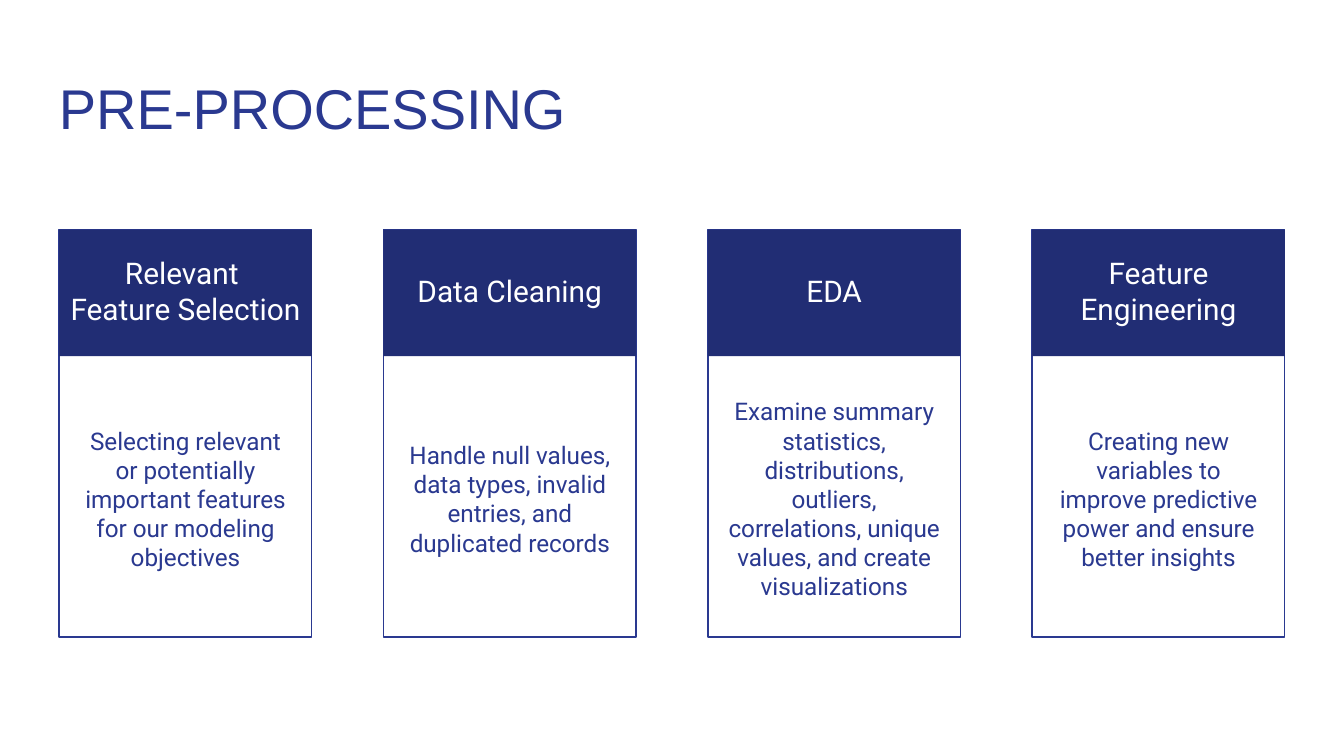
from dataclasses import dataclass
from typing import NamedTuple, Optional

from pptx import Presentation
from pptx.dml.color import RGBColor
from pptx.enum.shapes import MSO_SHAPE as Preset
from pptx.enum.text import MSO_ANCHOR as Anchor, PP_ALIGN as Align
from pptx.util import Inches, Pt


@dataclass(frozen=True)
class Theme:
    ink: RGBColor = RGBColor(0x2A, 0x39, 0x90)
    band: RGBColor = RGBColor(0x21, 0x2D, 0x74)
    white: RGBColor = RGBColor(0xFF, 0xFF, 0xFF)
    title_font: str = "Arial"
    body_font: str = "Roboto"
    title_size: int = 30
    heading_size: int = 16
    detail_size: int = 13
    border: float = 0.75


class Box(NamedTuple):
    left: float
    top: float
    width: float
    height: float

    def lengths(self) -> list:
        return [Inches(value) for value in self]


class Step(NamedTuple):
    heading: tuple[str, ...]
    detail: str


THEME = Theme()
INSET = 0.1

# Wide slide, 16:9
SLIDE_WIDTH = 10
SLIDE_HEIGHT = SLIDE_WIDTH * 9 / 16

# Card grid
FIRST_LEFT, LAST_LEFT = 0.44, 7.68
CARD_TOP, CARD_WIDTH, CARD_HEIGHT, BAND_HEIGHT = 1.71, 1.88, 3.03, 0.94

STEPS = [
    Step(("Relevant ", "Feature Selection"),
         "Selecting relevant or potentially important features for our modeling objectives"),
    Step(("Data Cleaning",),
         "Handle null values, data types, invalid entries, and duplicated records"),
    Step(("EDA",),
         "Examine summary statistics, distributions, outliers, correlations, "
         "unique values, and create visualizations"),
    Step(("Feature Engineering",),
         "Creating new variables to improve predictive power and ensure better insights"),
]


def draw_panel(slide, box: Box, fill: Optional[RGBColor] = None) -> None:
    """Draw a filled band, or an outlined frame when no fill is given."""
    panel = slide.shapes.add_shape(Preset.RECTANGLE, *box.lengths())
    panel.shadow.inherit = False
    if fill is None:
        panel.fill.background()
        panel.line.color.rgb = THEME.ink
        panel.line.width = Pt(THEME.border)
    else:
        panel.fill.solid()
        panel.fill.fore_color.rgb = fill
        panel.line.fill.background()


def draw_text(slide, box: Box, lines: tuple[str, ...], size: int, color: RGBColor,
              font: str = THEME.body_font, align: Align = Align.CENTER,
              anchor: Anchor = Anchor.MIDDLE) -> None:
    frame = slide.shapes.add_textbox(*box.lengths()).text_frame
    frame_format = {"word_wrap": True, "vertical_anchor": anchor}
    frame_format |= {f"margin_{side}": Inches(INSET)
                     for side in ("left", "top", "right", "bottom")}
    for attribute, value in frame_format.items():
        setattr(frame, attribute, value)

    frame.text = "\n".join(lines)
    for paragraph in frame.paragraphs:
        paragraph.alignment = align
        for run in paragraph.runs:
            for attribute, value in {"name": font, "size": Pt(size)}.items():
                setattr(run.font, attribute, value)
            run.font.color.rgb = color


def draw_step(slide, left: float, step: Step) -> None:
    draw_panel(slide, Box(left, CARD_TOP, CARD_WIDTH, CARD_HEIGHT))
    draw_panel(slide, Box(left, CARD_TOP, CARD_WIDTH, BAND_HEIGHT), THEME.band)
    draw_text(slide, Box(left - 0.05, 1.87, CARD_WIDTH + 0.1, 0.58),
              step.heading, THEME.heading_size, THEME.white)
    draw_text(slide, Box(left + 0.04, 2.87, CARD_WIDTH - 0.08, 1.68),
              (step.detail,), THEME.detail_size, THEME.ink)


def main() -> None:
    deck = Presentation()
    deck.slide_width, deck.slide_height = Inches(SLIDE_WIDTH), Inches(SLIDE_HEIGHT)
    slide = deck.slides.add_slide(deck.slide_layouts[6])

    # Title
    draw_text(slide, Box(0.34, 0.45, 4.35, 0.66), ("PRE-PROCESSING",),
              THEME.title_size, THEME.ink, THEME.title_font, Align.LEFT, Anchor.TOP)

    # Step cards
    pitch = (LAST_LEFT - FIRST_LEFT) / (len(STEPS) - 1)
    for index, step in enumerate(STEPS):
        draw_step(slide, FIRST_LEFT + index * pitch, step)

    deck.save("out.pptx")


if __name__ == "__main__":
    main()
